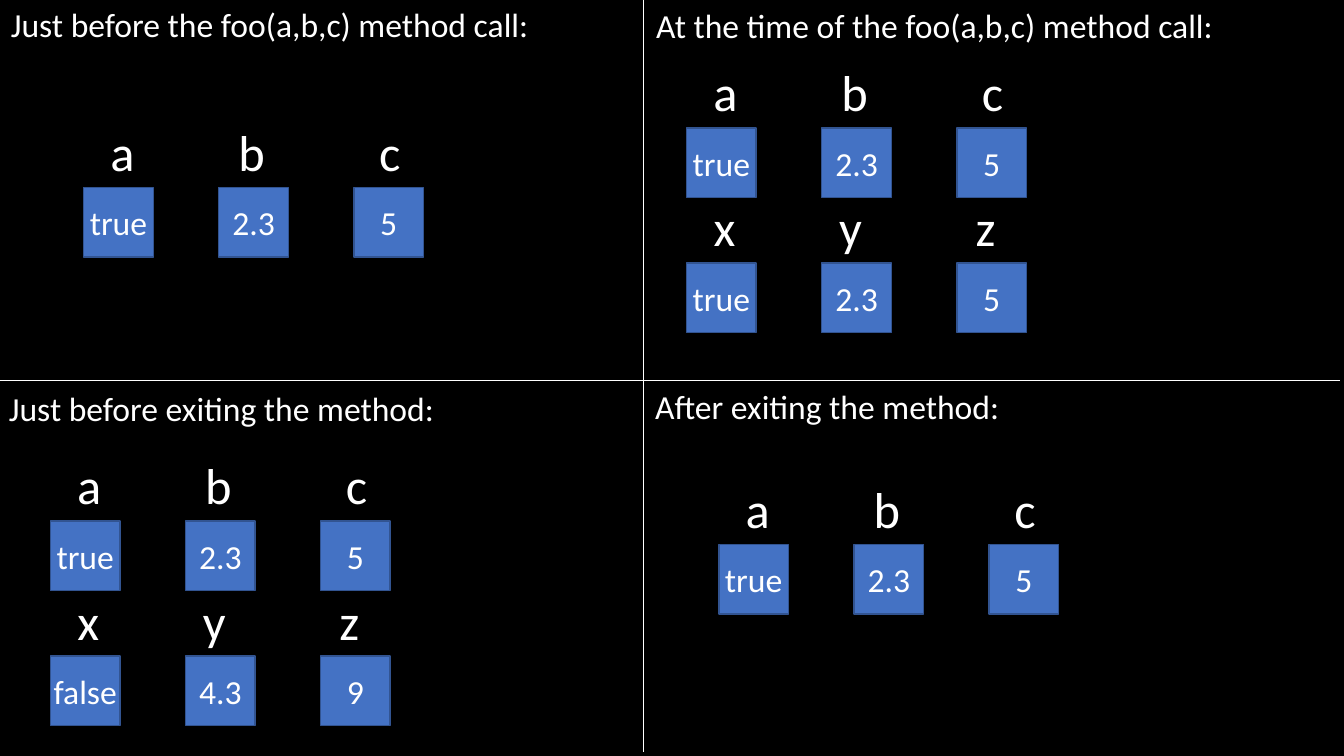
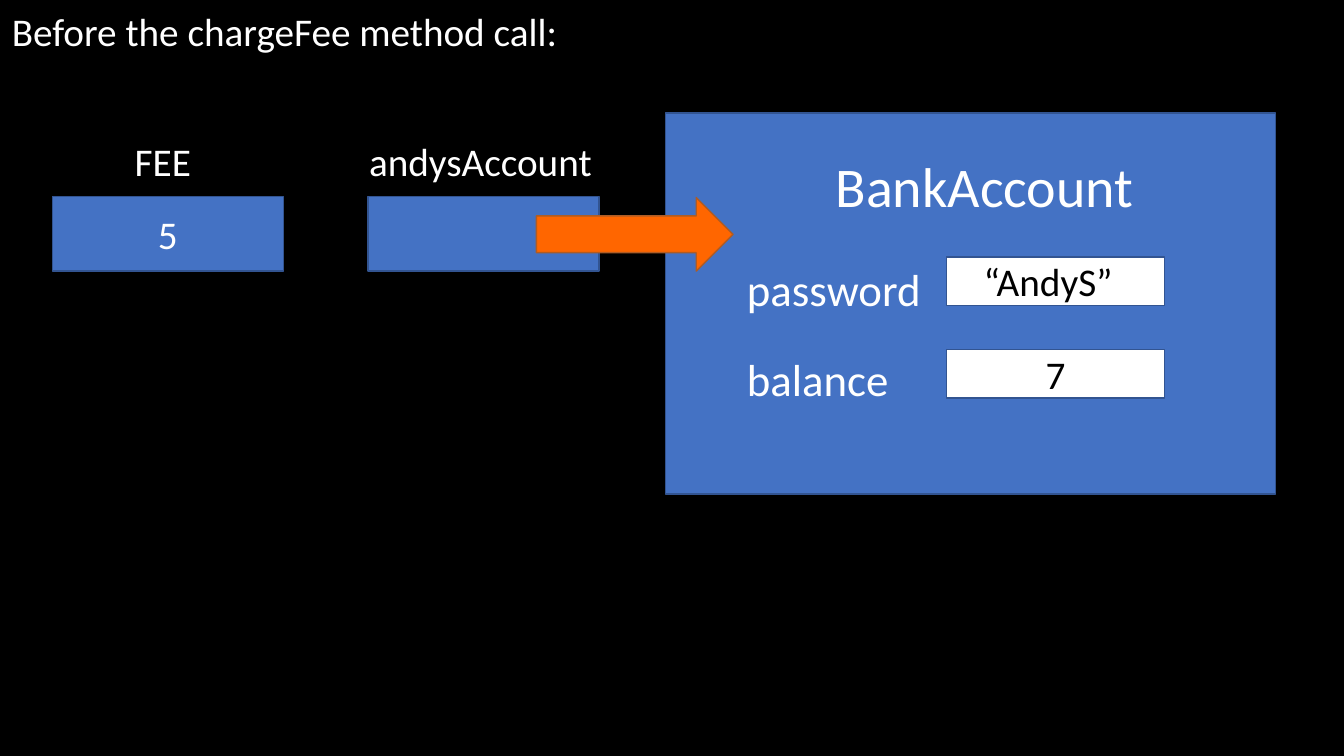
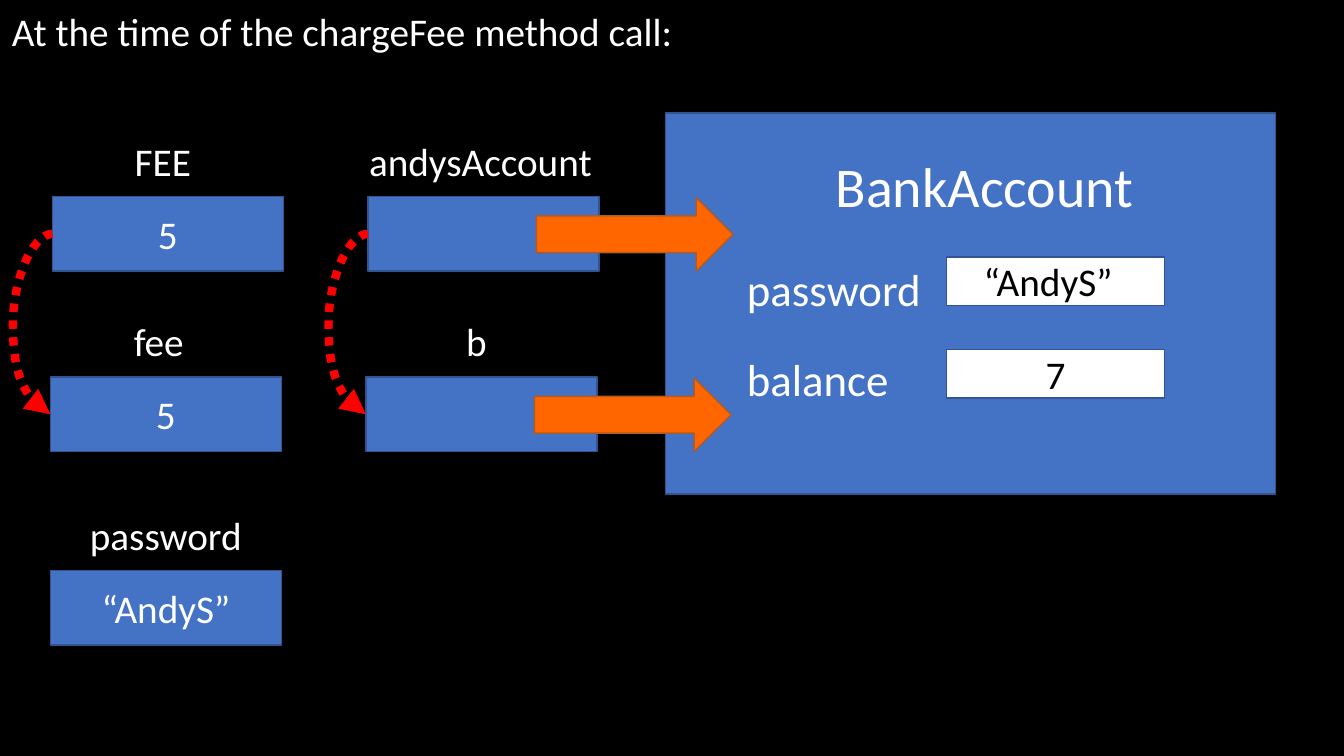
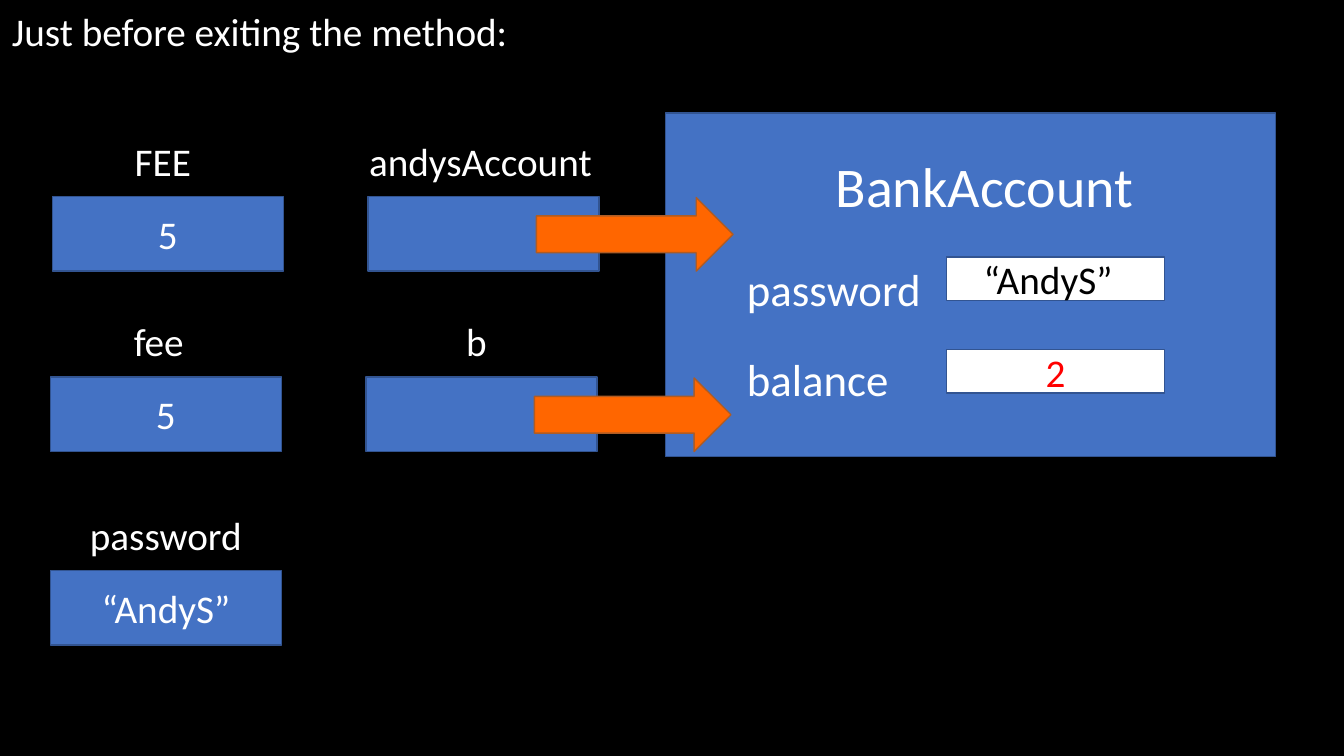
from lxml.etree import SubElement
from pptx import Presentation
from pptx.dml.color import RGBColor
from pptx.enum.dml import MSO_LINE
from pptx.enum.shapes import MSO_CONNECTOR, MSO_SHAPE
from pptx.enum.text import MSO_ANCHOR, PP_ALIGN
from pptx.oxml.ns import qn
from pptx.util import Inches, Pt

FONT = "Calibri"
BLACK, WHITE, RED = "000000", "FFFFFF", "FF0000"
BLUE, DARK_BLUE = "4472C4", "325491"
ORANGE, DARK_ORANGE = "FF6600", "AF5C24"

# Memory diagrams: title, title position, first square position, rows of variables
ARGUMENTS = [("a", "true"), ("b", "2.3"), ("c", "5")]
PARAMETERS = [("x", "true"), ("y", "2.3"), ("z", "5")]
CHANGED_PARAMETERS = [("x", "false"), ("y", "4.3"), ("z", "9")]
QUADRANTS = [
    ("Just before the foo(a,b,c) method call:", (0.01, -0.01), (0.83, 1.86), [ARGUMENTS]),
    ("At the time of the foo(a,b,c) method call:", (6.41, 0), (6.81, 1.27),
     [ARGUMENTS, PARAMETERS]),
    ("Just before exiting the method:", (-0.01, 3.8), (0.5, 5.17),
     [ARGUMENTS, CHANGED_PARAMETERS]),
    ("After exiting the method:", (6.4, 3.78), (7.13, 5.4), [ARGUMENTS]),
]
DIVIDERS = [((-0.04, 3.77), (13.29, 3.77)), ((6.38, -0.04), (6.38, 7.46))]
SQUARE, SQUARE_STEP = 0.69, 1.34
NAME_HEIGHT = 0.71
NAME_SHIFT = {"a": 0.04, "b": -0.02, "c": 0.01, "x": 0.03, "y": -0.06, "z": -0.06}

# Account diagrams: variables are name, name shift, value (None for a reference), position
CALLER = [("FEE", -0.05, "5", (0.52, 1.95)), ("andysAccount", -0.03, None, (3.65, 1.95))]
METHOD = [("fee", -0.07, "5", (0.5, 3.74)), ("b", -0.05, None, (3.63, 3.74)),
          ("password", 0, "“AndyS”", (0.5, 5.66))]
ACCOUNT_SLIDES = [
    {"title": "Before the chargeFee method call:", "variables": CALLER, "copies": [],
     "balance": ("7", BLACK), "panel_height": 3.78, "field_height": 0.48},
    {"title": "At the time of the chargeFee method call:", "variables": CALLER + METHOD,
     "copies": [("FEE", "fee"), ("andysAccount", "b")],
     "balance": ("7", BLACK), "panel_height": 3.78, "field_height": 0.48},
    {"title": "Just before exiting the method:", "variables": CALLER + METHOD, "copies": [],
     "balance": ("2", RED), "panel_height": 3.41, "field_height": 0.43},
]
VARIABLE_WIDTH, VARIABLE_HEIGHT = 2.29, 0.74
LABEL_WIDTH, LABEL_HEIGHT = 2.6, 0.57
CURVE_REACH = 0.39


def color(hex_value):
    return RGBColor.from_string(hex_value)


def write(shape, text, size, text_color=WHITE, align=PP_ALIGN.LEFT, **frame_format):
    frame = shape.text_frame
    frame.word_wrap = True
    for name, value in frame_format.items():
        setattr(frame, name, value)
    paragraph = frame.paragraphs[0]
    paragraph.alignment = align
    run = paragraph.add_run()
    run.text = text
    for name, value in {"name": FONT, "size": Pt(size)}.items():
        setattr(run.font, name, value)
    run.font.color.rgb = color(text_color)


def add_text(slide, text, left, top, width, height, size, **text_format):
    box = slide.shapes.add_textbox(*map(Inches, (left, top, width, height)))
    write(box, text, size, **text_format)


def add_centered_text(slide, text, center, top, width, height, size):
    add_text(slide, text, center - width / 2, top, width, height, size,
             align=PP_ALIGN.CENTER, margin_left=0, margin_right=0)


def add_block(slide, left, top, width, height, fill=BLUE, line=DARK_BLUE,
              kind=MSO_SHAPE.RECTANGLE):
    block = slide.shapes.add_shape(kind, *map(Inches, (left, top, width, height)))
    block.shadow.inherit = False
    block.fill.solid()
    block.fill.fore_color.rgb = color(fill)
    block.line.color.rgb = color(line)
    block.line.width = Pt(1)
    return block


def write_value(block, text, size, text_color=WHITE, margin_right=0):
    write(block, text, size, text_color, PP_ALIGN.CENTER, vertical_anchor=MSO_ANCHOR.MIDDLE,
          margin_left=0, margin_right=Inches(margin_right))


def add_line(slide, kind, start, end, line_color, width):
    connector = slide.shapes.add_connector(kind, *map(Inches, (*start, *end)))
    connector.line.color.rgb = color(line_color)
    connector.line.width = Pt(width)
    SubElement(connector.element.spPr, qn("a:effectLst"))
    return connector


def add_copy_curve(slide, source, target):
    """Dotted curve that leaves and enters the left sides of two blocks."""
    curve = add_line(slide, MSO_CONNECTOR.CURVE, (0, 0), (1, 1), RED, 6)
    curve.begin_connect(source, 1)
    curve.end_connect(target, 1)
    curve.line.dash_style = MSO_LINE.ROUND_DOT
    SubElement(curve.line._get_or_add_ln(), qn("a:tailEnd"), type="triangle")
    geometry = curve.element.spPr.find(qn("a:prstGeom"))
    bend = round(Inches(CURVE_REACH) / curve.width * 100000)
    SubElement(geometry.get_or_add_avLst(), qn("a:gd"), name="adj1", fmla=f"val {bend}")


def add_quadrant(slide, title, title_at, first_square, rows):
    add_text(slide, title, *title_at, 6.26, 0.5, 24)
    left, first_top = first_square
    for row_index, row in enumerate(rows):
        top = first_top + row_index * SQUARE_STEP
        for column, (name, value) in enumerate(row):
            square_left = left + column * SQUARE_STEP
            write_value(add_block(slide, square_left, top, SQUARE, SQUARE), value, 24)
            center = square_left + SQUARE / 2 + NAME_SHIFT[name]
            add_centered_text(slide, name, center, top - NAME_HEIGHT, SQUARE, NAME_HEIGHT, 36)


def add_account(slide, balance, panel_height, field_height):
    add_block(slide, 6.6, 1.12, 6.05, panel_height)
    add_text(slide, "BankAccount", 8.19, 1.45, 3.54, 0.77, 40)
    fields = [("password", 2.55, 2.55, "“AndyS”", BLACK, 0.15),
              ("balance", 3.44, 3.47, *balance, 0)]
    for name, name_top, field_top, value, value_color, margin in fields:
        add_text(slide, name, 7.31, name_top, 2.05, 0.64, 32)
        field = add_block(slide, 9.39, field_top, 2.16, field_height, WHITE)
        write_value(field, value, 28, value_color, margin)


def add_variable(slide, name, shift, value, position):
    left, top = position
    block = add_block(slide, left, top, VARIABLE_WIDTH, VARIABLE_HEIGHT)
    add_centered_text(slide, name, left + VARIABLE_WIDTH / 2 + shift, top - 0.64,
                      LABEL_WIDTH, LABEL_HEIGHT, 28)
    if value is None:
        add_block(slide, left + 1.67, top + 0.01, 1.95, 0.73, ORANGE, DARK_ORANGE,
                  MSO_SHAPE.RIGHT_ARROW)
    else:
        write_value(block, value, 28)
    return block


def main():
    presentation = Presentation()
    presentation.slide_width, presentation.slide_height = Inches(13.33), Inches(7.5)
    background = presentation.slide_master.background.fill
    background.solid()
    background.fore_color.rgb = color(BLACK)
    blank = presentation.slide_layouts[6]

    slide = presentation.slides.add_slide(blank)
    for start, end in DIVIDERS:
        add_line(slide, MSO_CONNECTOR.STRAIGHT, start, end, WHITE, 0.5)
    for quadrant in QUADRANTS:
        add_quadrant(slide, *quadrant)

    for content in ACCOUNT_SLIDES:
        slide = presentation.slides.add_slide(blank)
        add_text(slide, content["title"], 0.02, 0.02, 7.6, 0.57, 28)
        add_account(slide, content["balance"], content["panel_height"], content["field_height"])
        blocks = {variable[0]: add_variable(slide, *variable)
                  for variable in content["variables"]}
        for source, target in content["copies"]:
            add_copy_curve(slide, blocks[source], blocks[target])

    presentation.save("out.pptx")


if __name__ == "__main__":
    main()
